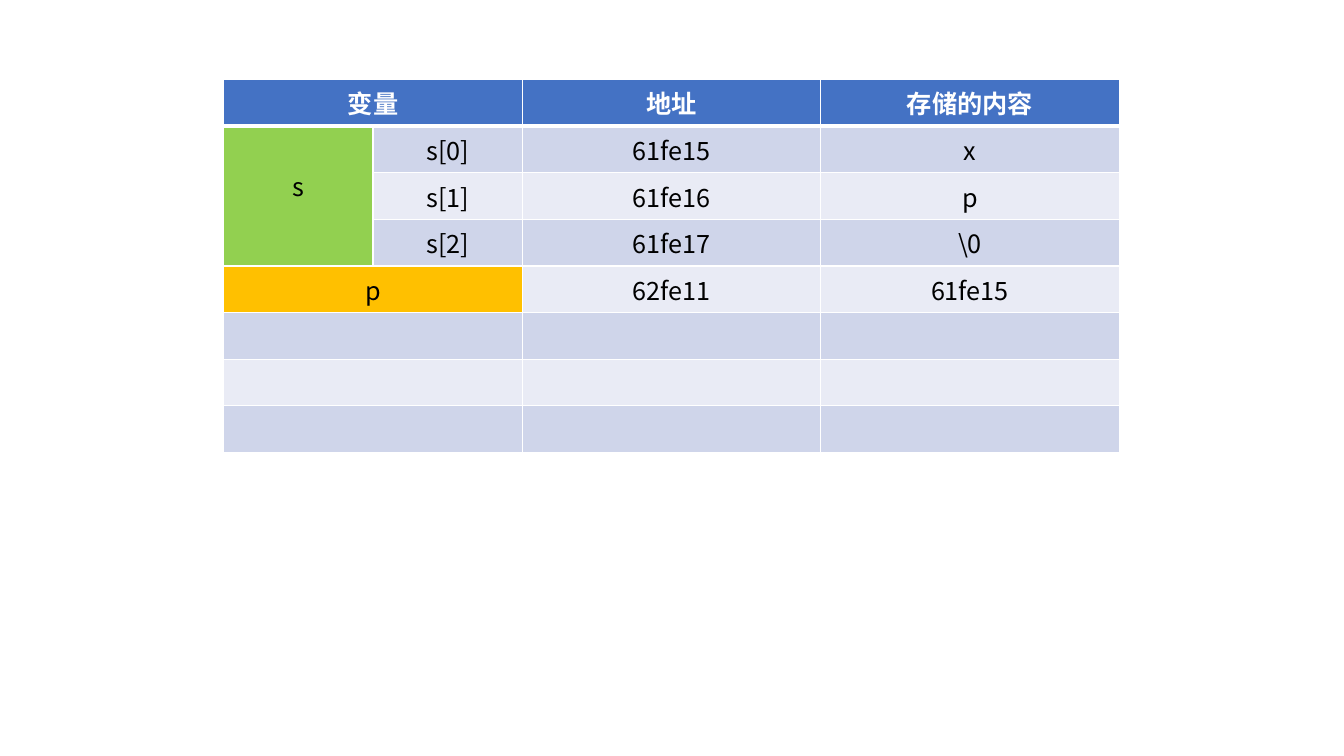
from lxml import etree
from pptx import Presentation
from pptx.dml.color import RGBColor
from pptx.enum.text import PP_ALIGN
from pptx.oxml.ns import qn
from pptx.util import Inches, Pt

FONT = "Noto Sans CJK SC"
TEXT_SIZE = 18
COLORS = {
    "header": "4472C4",
    "band_dark": "CFD5EA",
    "band_light": "E9EBF5",
    "array": "92D050",
    "pointer": "FFC000",
    "white": "FFFFFF",
    "black": "000000",
}
COLUMN_WIDTHS = [1.48, 1.48, 2.96, 2.96]
ROW_HEIGHT = 0.41
ROWS = [
    ["变量", "", "地址", "存储的内容"],
    ["s", "s[0]", "61fe15", "x"],
    ["", "s[1]", "61fe16", "p"],
    ["", "s[2]", "61fe17", "\\0"],
    ["p", "", "62fe11", "61fe15"],
] + [[""] * 4] * 3
ARRAY_ROWS = (1, 3)
POINTER_ROW = 4


def set_typeface(properties):
    for tag in ("a:latin", "a:ea"):
        for old in properties.findall(qn(tag)):
            properties.remove(old)
        etree.SubElement(properties, qn(tag), typeface=FONT)


def set_borders(cell, widths):
    properties = cell._tc.get_or_add_tcPr()
    for position, (side, width) in enumerate(widths.items()):
        line = etree.Element(qn(f"a:ln{side}"), w=str(Pt(width)))
        fill = etree.SubElement(line, qn("a:solidFill"))
        etree.SubElement(fill, qn("a:srgbClr"), val=COLORS["white"])
        properties.insert(position, line)


def write_cell(cell, text, color, bold):
    paragraph = cell.text_frame.paragraphs[0]
    paragraph.alignment = PP_ALIGN.CENTER
    if text:
        run = paragraph.add_run()
        run.text = text
        run.font.size = Pt(TEXT_SIZE)
        run.font.bold = bold
        run.font.color.rgb = RGBColor.from_string(COLORS[color])
        set_typeface(run.font._element)
    else:
        end = etree.SubElement(
            paragraph._p, qn("a:endParaRPr"), sz=str(TEXT_SIZE * 100)
        )
        set_typeface(end)


def fill_name(row, column):
    if row == 0:
        return "header"
    if column == 0 and ARRAY_ROWS[0] <= row <= ARRAY_ROWS[1]:
        return "array"
    if column < 2 and row == POINTER_ROW:
        return "pointer"
    return "band_dark" if row % 2 else "band_light"


def add_memory_table(slide):
    frame = slide.shapes.add_table(
        len(ROWS), len(COLUMN_WIDTHS), Inches(2.22), Inches(0.79),
        Inches(sum(COLUMN_WIDTHS)), Inches(ROW_HEIGHT * len(ROWS)),
    )
    table = frame.table
    for column, width in zip(table.columns, COLUMN_WIDTHS):
        column.width = Inches(width)
    for r, texts in enumerate(ROWS):
        table.rows[r].height = Inches(ROW_HEIGHT)
        for c, text in enumerate(texts):
            cell = table.cell(r, c)
            write_cell(cell, text, "black" if r else "white", r == 0)
            cell.fill.solid()
            cell.fill.fore_color.rgb = RGBColor.from_string(COLORS[fill_name(r, c)])
            top, bottom = (3 if r == 1 else 1), (3 if r == 0 else 1)
            set_borders(cell, {"L": 1, "R": 1, "T": top, "B": bottom})

    first, last = ARRAY_ROWS
    array_cell = table.cell(first, 0)
    array_cell.merge(table.cell(last, 0))
    array_cell.margin_top = Inches(0.41)
    for r in range(len(ROWS)):
        if not first <= r <= last:
            table.cell(r, 0).merge(table.cell(r, 1))


def main():
    presentation = Presentation()
    presentation.slide_width = Inches(13.33)
    presentation.slide_height = Inches(7.5)
    slide = presentation.slides.add_slide(presentation.slide_layouts[6])
    add_memory_table(slide)
    presentation.save("out.pptx")


main()
